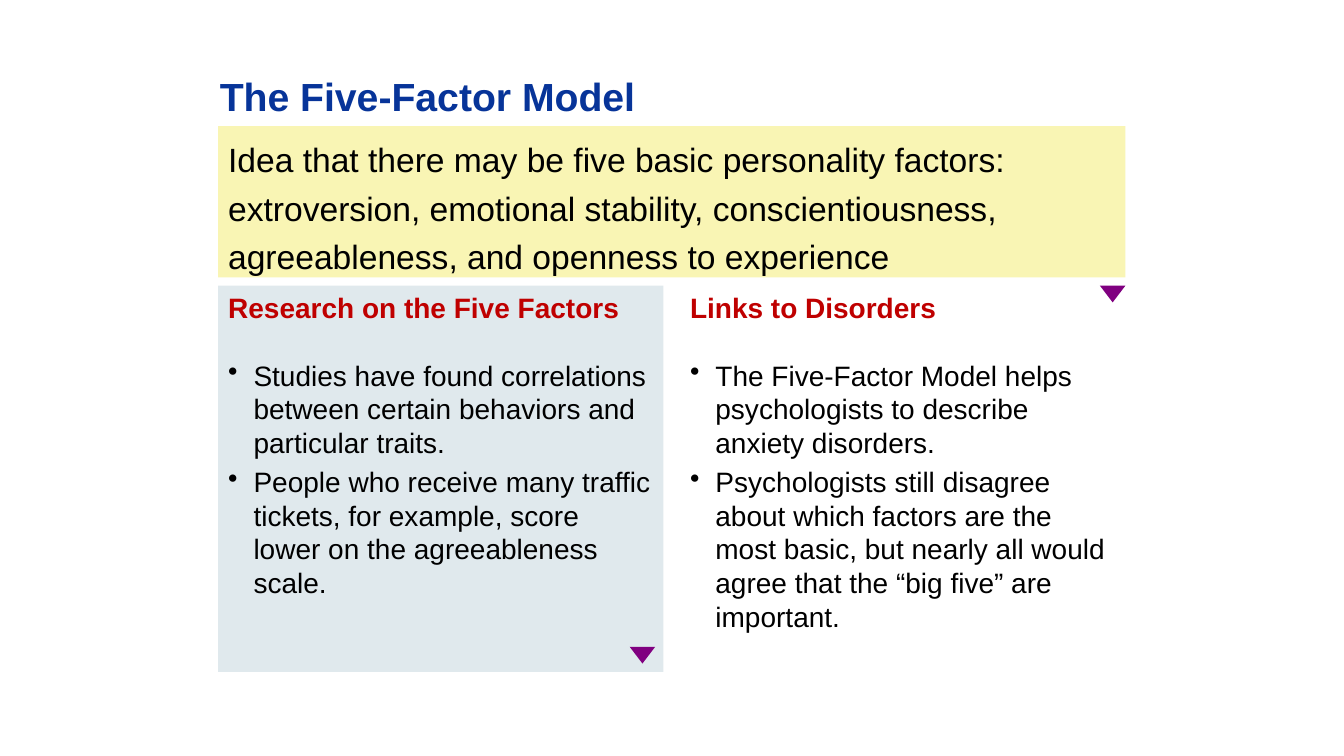
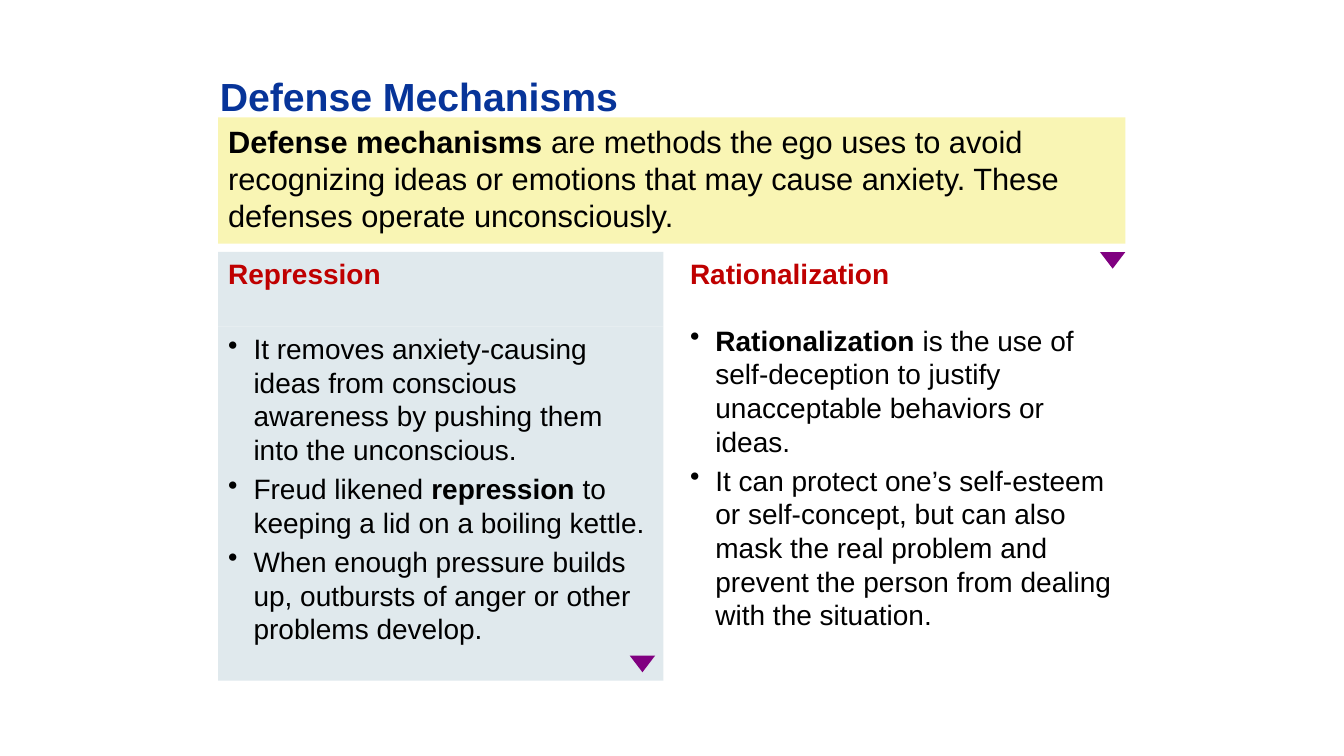
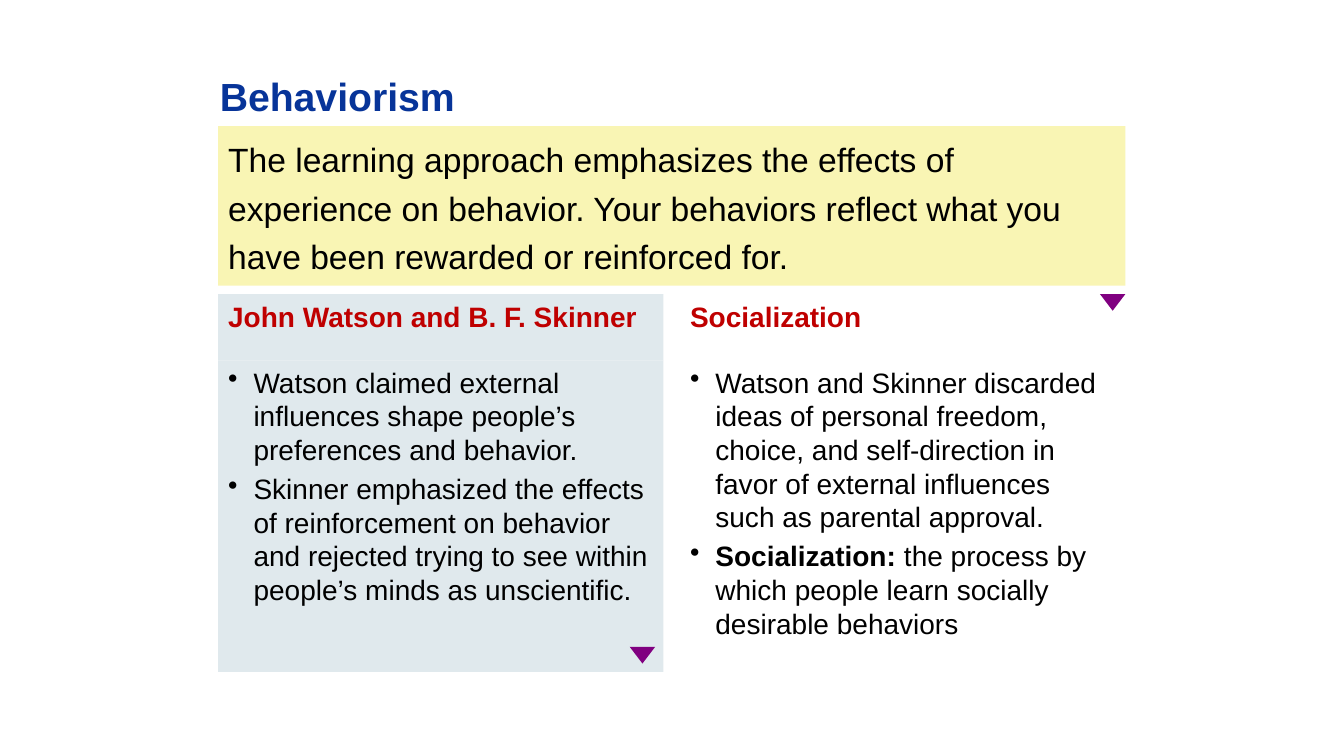
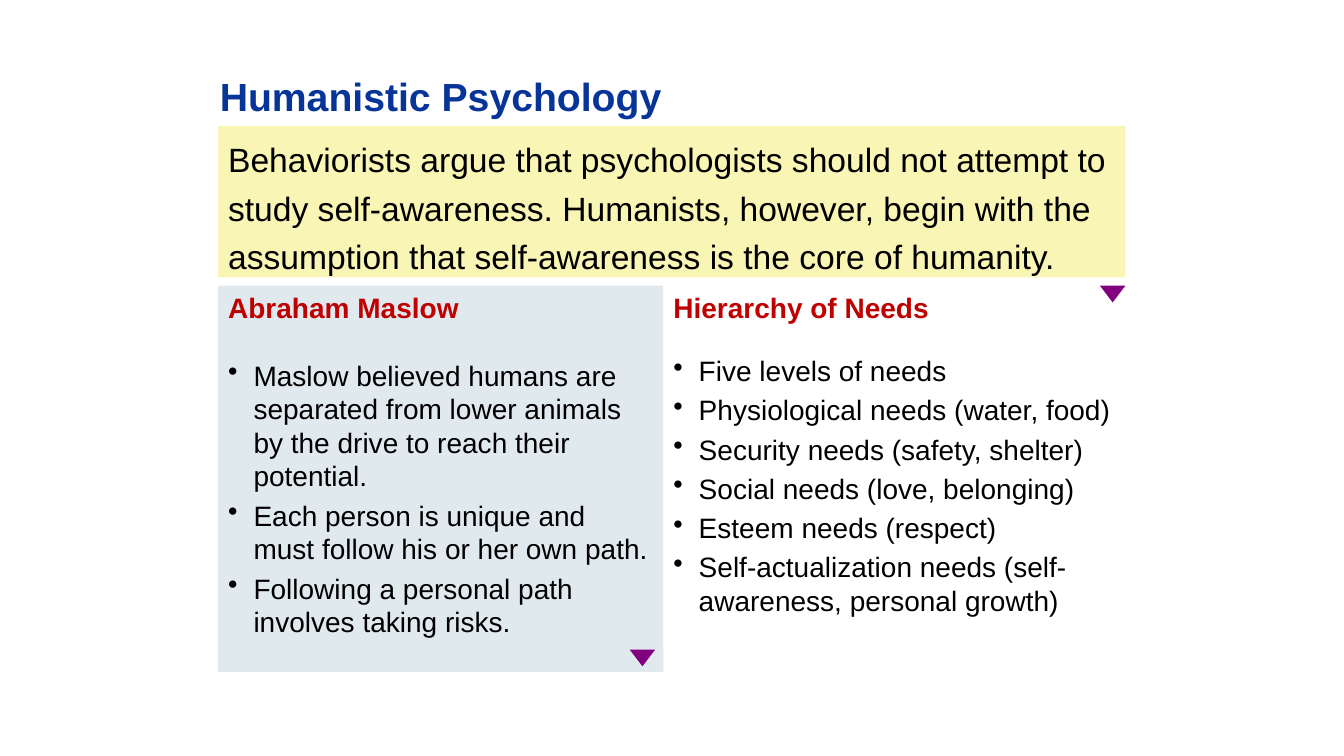
from dataclasses import dataclass

from lxml import etree
from pptx import Presentation
from pptx.dml.color import RGBColor
from pptx.enum.shapes import MSO_SHAPE
from pptx.enum.text import MSO_ANCHOR, PP_ALIGN
from pptx.oxml.ns import qn
from pptx.util import Cm, Pt

RECTANGLE = MSO_SHAPE.RECTANGLE
TRIANGLE = MSO_SHAPE.ISOSCELES_TRIANGLE
TOP = MSO_ANCHOR.TOP
LEFT = PP_ALIGN.LEFT

# Colours
NAVY = RGBColor(0x07, 0x34, 0x99)
RED = RGBColor(0xBF, 0x00, 0x00)
BLACK = RGBColor(0x00, 0x00, 0x00)
WHITE = RGBColor(0xFF, 0xFF, 0xFF)
CREAM = RGBColor(0xF9, 0xF5, 0xB4)
MIST = RGBColor(0xE0, 0xE9, 0xED)
PURPLE = RGBColor(0x80, 0x00, 0x80)

# Text styles
TITLE = {"name": "Arial", "size": Pt(28), "bold": True}
HEADING = {"name": "Arial", "size": Pt(20), "bold": True}
BODY = {"name": "Arial", "size": Pt(20), "bold": False}
LEAD = {"name": "Arial", "size": Pt(24), "bold": False}
SMALL_LEAD = {"name": "Arial", "size": Pt(22), "bold": False}

# Shared layout, in centimetres
TITLE_BOX = (5.29, 1.69, 22.65, 1.48)
MARGIN = 5.5
CONTENT_WIDTH = 22.86
CONTENT_RIGHT = MARGIN + CONTENT_WIDTH
COLUMN_WIDTH = 11.22
GAP = 0.21
INDENT = 0.64
MARKER_WIDTH, MARKER_HEIGHT = 0.64, 0.42


@dataclass
class Column:
    heading: str
    bullets: list
    heading_height: float = 1.7
    bottom: float = 16.93
    width: float = COLUMN_WIDTH


@dataclass
class Topic:
    title: str
    lead: str
    left: Column
    right: Column
    lead_top: float = 3.18
    lead_height: float = 3.81
    lead_style: dict = None
    line_spacing: float = 1.2
    marker_lift: float = GAP


def lengths(box):
    return [Cm(value) for value in box]


def write(frame, paragraphs, style, colour, bulleted=False, line_spacing=None):
    """Fill a frame; parts between double asterisks are bold."""
    for name, value in {"word_wrap": True, "vertical_anchor": TOP}.items():
        setattr(frame, name, value)
    for index, text in enumerate(paragraphs):
        para = frame.add_paragraph() if index else frame.paragraphs[0]
        if bulleted:
            properties = para._p.get_or_add_pPr()
            properties.set("marL", str(Cm(INDENT)))
            properties.set("indent", str(-Cm(INDENT)))
            etree.SubElement(properties, qn("a:buChar")).set("char", "•")
        layout = {
            "alignment": LEFT,
            "line_spacing": line_spacing,
            "space_before": Pt(4 if index else 0),
        }
        for name, value in layout.items():
            setattr(para, name, value)
        for part, words in enumerate(text.split("**")):
            if not words:
                continue
            span = para.add_run()
            span.text = words
            for name, value in style.items():
                setattr(span.font, name, value)
            span.font.color.rgb = colour
            if part % 2:
                span.font.bold = True


def add_filled(shapes, kind, box, fill):
    shape = shapes.add_shape(kind, *lengths(box))
    shape.shadow.inherit = False
    shape.fill.solid()
    shape.fill.fore_color.rgb = fill
    shape.line.fill.background()
    return shape


def add_title(page, box, text):
    title = page.shapes.add_textbox(*lengths(box))
    write(title.text_frame, [text], TITLE, NAVY)


def add_lead(page, box, topic):
    banner = add_filled(page.shapes, RECTANGLE, box, CREAM)
    write(banner.text_frame, [topic.lead], topic.lead_style or LEAD, BLACK,
          line_spacing=topic.line_spacing)


def add_column(page, box, column, fill):
    """Heading panel with the bullet panel directly beneath it."""
    left, top, width, height = box
    split = column.heading_height
    shapes = page.shapes.add_group_shape().shapes
    body = add_filled(shapes, RECTANGLE, (left, top + split, width, height - split), fill)
    write(body.text_frame, column.bullets, BODY, BLACK, bulleted=True)
    heading = add_filled(shapes, RECTANGLE, (left, top, width, split), fill)
    write(heading.text_frame, [column.heading], HEADING, RED)


def add_marker(page, right, top):
    """Triangle pointing down, ending at the given right edge."""
    box = (right - MARKER_WIDTH, top, MARKER_WIDTH, MARKER_HEIGHT)
    add_filled(page.shapes, TRIANGLE, box, PURPLE).rotation = 180


def add_topic(deck, topic):
    page = deck.slides.add_slide(deck.slide_layouts[6])
    left, right = topic.left, topic.right
    top = topic.lead_top + topic.lead_height + GAP
    add_lead(page, (MARGIN, topic.lead_top, CONTENT_WIDTH, topic.lead_height), topic)
    add_title(page, TITLE_BOX, topic.title)
    add_column(page, (MARGIN, top, left.width, left.bottom - top), left, MIST)
    add_column(page, (CONTENT_RIGHT - right.width, top, right.width, right.bottom - top),
               right, WHITE)
    add_marker(page, CONTENT_RIGHT, top)
    add_marker(page, MARGIN + left.width - GAP,
               left.bottom - topic.marker_lift - MARKER_HEIGHT)


TOPICS = [
    Topic(
        "The Five-Factor Model",
        "Idea that there may be five basic personality factors: extroversion, emotional "
        "stability, conscientiousness, agreeableness, and openness to experience",
        Column("Research on the Five Factors", [
            "Studies have found correlations between certain behaviors and particular traits.",
            "People who receive many traffic tickets, for example, score lower on the "
            "agreeableness scale.",
        ]),
        Column("Links to Disorders", [
            "The Five-Factor Model helps psychologists to describe anxiety disorders.",
            "Psychologists still disagree about which factors are the most basic, but nearly "
            "all would agree that the “big five” are important.",
        ]),
    ),
    Topic(
        "Defense Mechanisms",
        "**Defense mechanisms** are methods the ego uses to avoid recognizing ideas or "
        "emotions that may cause anxiety. These defenses operate unconsciously.",
        Column("Repression", [
            "It removes anxiety-causing ideas from conscious awareness by pushing them into "
            "the unconscious.",
            "Freud likened **repression** to keeping a lid on a boiling kettle.",
            "When enough pressure builds up, outbursts of anger or other problems develop.",
        ], heading_height=1.88, bottom=17.15),
        Column("Rationalization", [
            "**Rationalization** is the use of self-deception to justify unacceptable "
            "behaviors or ideas.",
            "It can protect one’s self-esteem or self-concept, but can also mask the real "
            "problem and prevent the person from dealing with the situation.",
        ], heading_height=1.67, bottom=15.88),
        lead_top=2.96, lead_height=3.18, lead_style=SMALL_LEAD, line_spacing=1.0,
    ),
    Topic(
        "Behaviorism",
        "The learning approach emphasizes the effects of experience on behavior. Your "
        "behaviors reflect what you have been rewarded or reinforced for.",
        Column("John Watson and B. F. Skinner", [
            "Watson claimed external influences shape people’s preferences and behavior.",
            "Skinner emphasized the effects of reinforcement on behavior and rejected trying "
            "to see within people’s minds as unscientific.",
        ], heading_height=1.67),
        Column("Socialization", [
            "Watson and Skinner discarded ideas of personal freedom, choice, and "
            "self-direction in favor of external influences such as parental approval.",
            "**Socialization:** the process by which people learn socially desirable behaviors",
        ], heading_height=1.67),
        lead_height=4.02,
    ),
    Topic(
        "Humanistic Psychology",
        "Behaviorists argue that psychologists should not attempt to study self-awareness. "
        "Humanists, however, begin with the assumption that self-awareness is the core of "
        "humanity.",
        Column("Abraham Maslow", [
            "Maslow believed humans are separated from lower animals by the drive to reach "
            "their potential.",
            "Each person is unique and must follow his or her own path.",
            "Following a personal path involves taking risks.",
        ]),
        Column("Hierarchy of Needs", [
            "Five levels of needs",
            "Physiological needs (water, food)",
            "Security needs (safety, shelter)",
            "Social needs (love, belonging)",
            "Esteem needs (respect)",
            "Self-actualization needs (self-awareness, personal growth)",
        ], heading_height=1.59, bottom=16.3, width=11.64),
        marker_lift=0.14,
    ),
]


def main():
    deck = Presentation()
    deck.slide_width, deck.slide_height = Cm(33.87), Cm(19.05)
    for topic in TOPICS:
        add_topic(deck, topic)
    deck.save("out.pptx")


if __name__ == "__main__":
    main()
